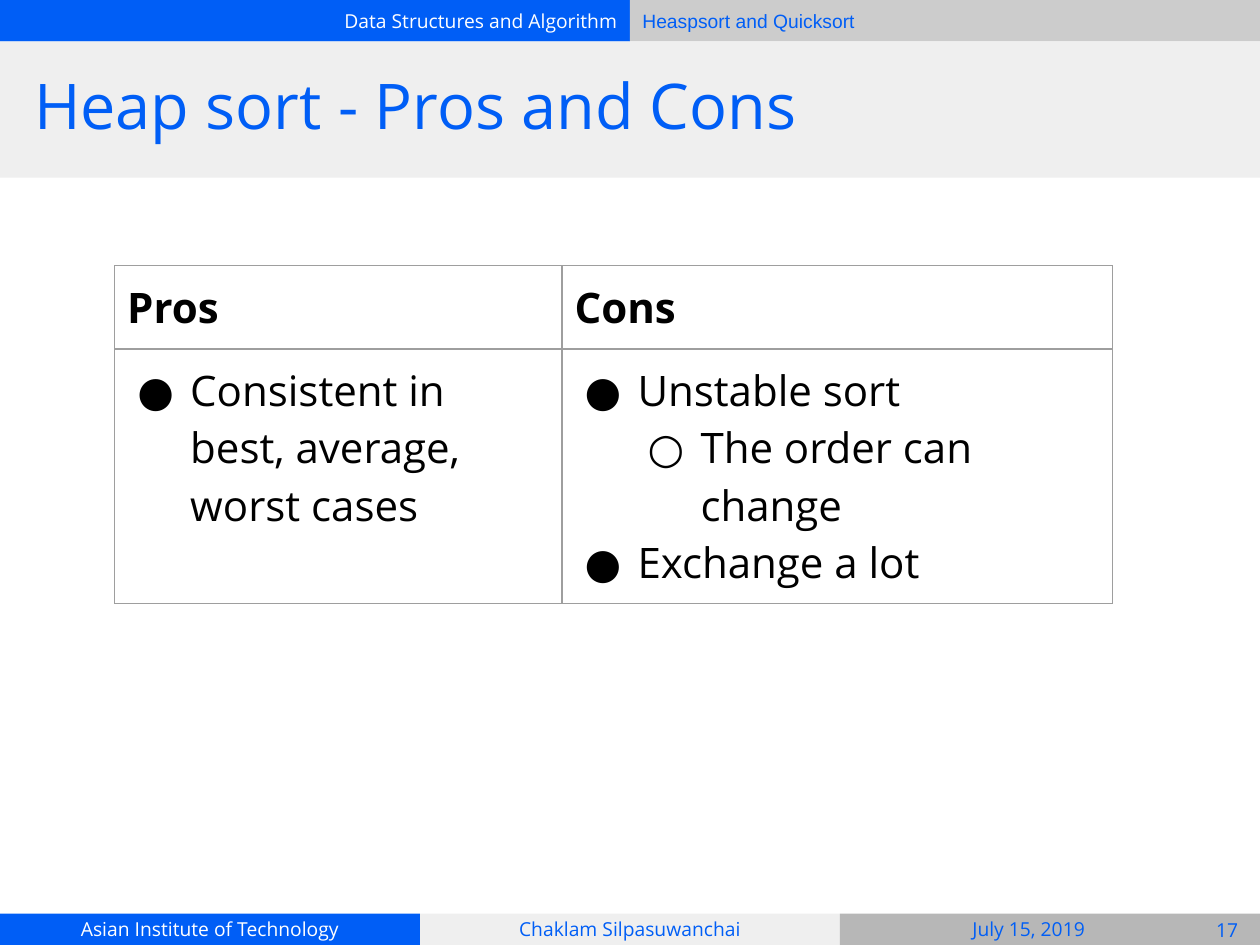
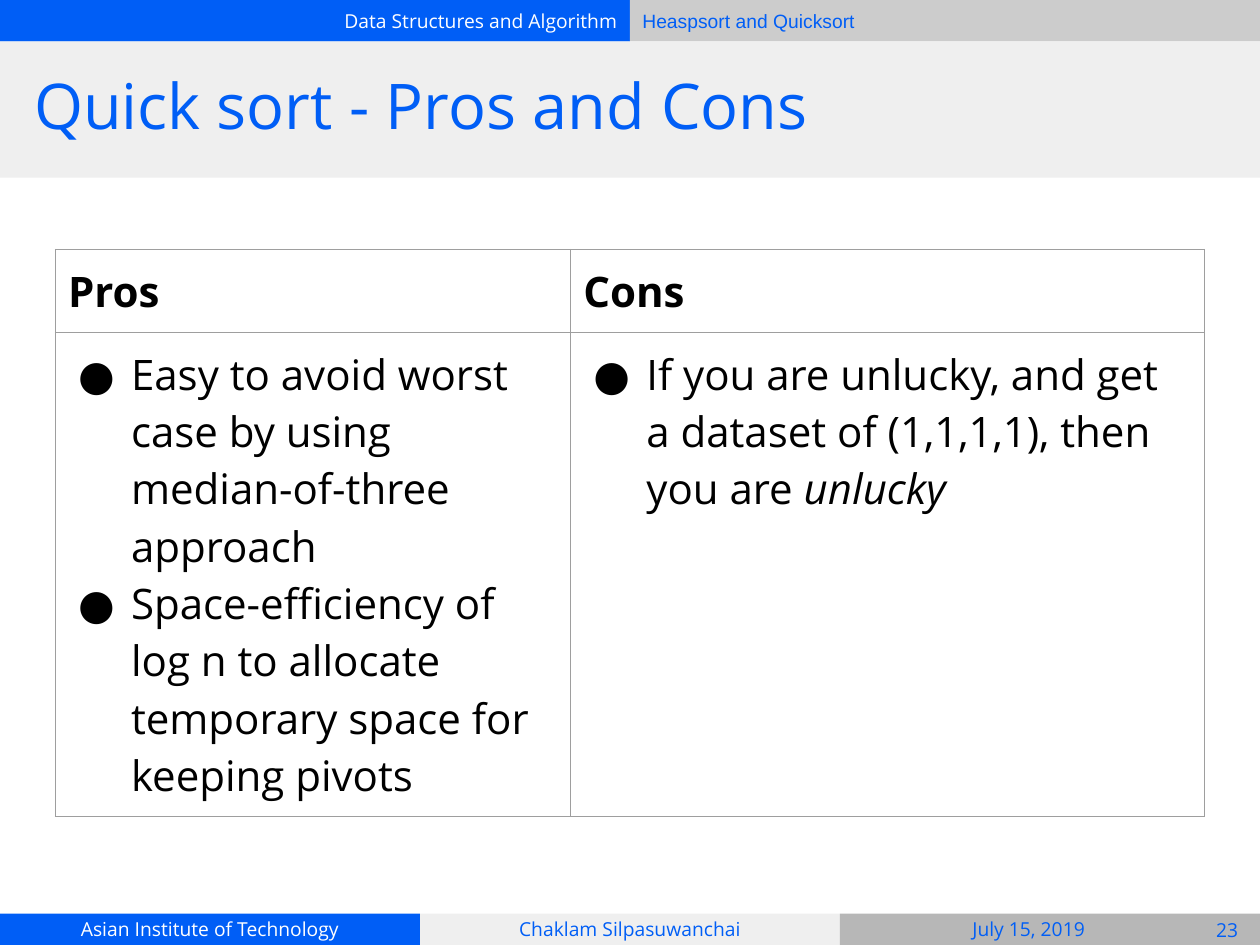
"""Build two slides that weigh the pros and cons of heap sort and quick sort."""
from pptx import Presentation
from pptx.dml.color import RGBColor
from pptx.enum.shapes import MSO_SHAPE
from pptx.enum.text import MSO_ANCHOR, MSO_AUTO_SIZE, PP_ALIGN
from pptx.oxml import parse_xml
from pptx.oxml.ns import nsdecls
from pptx.util import Inches, Pt

WIDTH, HEIGHT = 10, 7.5
HALF, THIRD = WIDTH / 2, WIDTH / 3
TOP_BAND, TITLE_BAND, FOOT_BAND = 0.33, 1.08, 0.25
FOOT_TOP = HEIGHT - FOOT_BAND
FONT = "Open Sans"
COLORS = {"blue": "005EF6", "white": "FFFFFF", "pale": "EFEFEF", "light": "CCCCCC",
          "grey": "B7B7B7", "border": "9E9E9E", "black": "000000"}
LEFT, CENTER, RIGHT = PP_ALIGN.LEFT, PP_ALIGN.CENTER, PP_ALIGN.RIGHT

BANDS = [
    ((0, 0, HALF, TOP_BAND), "blue"),
    ((HALF, 0, HALF, TOP_BAND), "light"),
    ((0, FOOT_TOP, THIRD, FOOT_BAND), "blue"),
    ((THIRD, FOOT_TOP, THIRD, FOOT_BAND), "pale"),
    ((2 * THIRD, FOOT_TOP, THIRD, FOOT_BAND), "grey"),
    ((0, TOP_BAND, WIDTH, TITLE_BAND), "pale"),
]
LABELS = [
    ("Data Structures and Algorithm", (0, 0, HALF, TOP_BAND), RIGHT, FONT, "white"),
    ("Heaspsort and Quicksort", (HALF, 0, HALF, TOP_BAND), LEFT, "Arial", "blue"),
    ("Asian Institute of Technology", (0, FOOT_TOP, THIRD, FOOT_BAND), CENTER, FONT, "white"),
    ("Chaklam Silpasuwanchai", (THIRD, FOOT_TOP, THIRD, FOOT_BAND), CENTER, FONT, "blue"),
    ("July 15, 2019", (6.75, FOOT_TOP, 2.83, FOOT_BAND), CENTER, FONT, "blue"),
]
NUMBER_PLACE = (9.48, 7.26, 0.52, 0.24)

HEADINGS = ("Pros", "Cons")
SLIDES = [
    {"title": "Heap sort - Pros and Cons", "number": "17",
     "corner": (0.91, 2.11), "columns": (3.55, 4.37), "rows": (0.66, 2.02),
     "points": (
         [(0, ["Consistent in best, average, worst cases"])],
         [(0, ["Unstable sort"]), (1, ["The order can change"]), (0, ["Exchange a lot"])])},
    {"title": "Quick sort - Pros and Cons", "number": "23",
     "corner": (0.44, 1.98), "columns": (4.09, 5.03), "rows": (0.66, 3.84),
     "points": (
         [(0, ["Easy to avoid worst case by using median-of-three approach"]),
          (0, ["Space-efficiency of log n to allocate temporary space for keeping pivots"])],
         [(0, ["If you are unlucky, and get a dataset of (1,1,1,1), then you are ",
               "unlucky"])])},
]
BULLETS = "●○"


def inches(values):
    return [Inches(value) for value in values]


def style(span, size, color, font=FONT, bold=False, italic=False):
    span.font.size = Pt(size)
    span.font.name = font
    span.font.bold = bold
    span.font.italic = italic
    span.font.color.rgb = RGBColor.from_string(COLORS[color])


def add_band(page, place, color):
    band = page.shapes.add_shape(MSO_SHAPE.RECTANGLE, *inches(place))
    band.shadow.inherit = False
    band.fill.solid()
    band.fill.fore_color.rgb = RGBColor.from_string(COLORS[color])
    band.line.fill.background()


def add_label(page, text, place, align, font, color):
    box = page.shapes.add_textbox(*inches(place))
    frame = box.text_frame
    frame.word_wrap = True
    frame.vertical_anchor = MSO_ANCHOR.MIDDLE
    frame.margin_left = frame.margin_right = Inches(0.1)
    frame.margin_top = frame.margin_bottom = Inches(0.1)
    frame.text = text
    para = frame.paragraphs[0]
    para.alignment = align
    style(para.runs[0], 11, color, font)


def place_title(page, text):
    title = page.shapes.title
    title.left, title.top, title.width, title.height = inches(
        (0.17, TOP_BAND, WIDTH - 0.33, TITLE_BAND))
    frame = title.text_frame
    frame.auto_size = MSO_AUTO_SIZE.NONE
    frame.vertical_anchor = MSO_ANCHOR.MIDDLE
    frame.text = text
    para = frame.paragraphs[0]
    para.alignment = LEFT
    para.line_spacing = 0.9
    style(para.runs[0], 36, "blue")
    page.shapes.element.append(title.element)


def add_bullet(para, level):
    para.level = level
    properties = para._p.get_or_add_pPr()
    properties.set("marL", str(Inches(0.5 * (level + 1))))
    properties.set("indent", str(Inches(-0.42)))
    for xml in (f'<a:buClr {nsdecls("a")}><a:srgbClr val="{COLORS["black"]}"/></a:buClr>',
                f'<a:buFont {nsdecls("a")} typeface="{FONT}"/>',
                f'<a:buChar {nsdecls("a")} char="{BULLETS[level]}"/>'):
        properties.append(parse_xml(xml))


def format_cell(cell):
    cell.margin_left = cell.margin_right = Inches(0.1)
    cell.margin_top = cell.margin_bottom = Inches(0.1)
    cell.fill.background()
    for index, side in enumerate("LRTB"):
        cell._tc.tcPr.insert(index, parse_xml(
            f'<a:ln{side} {nsdecls("a")} w="{Pt(0.75)}"><a:solidFill>'
            f'<a:srgbClr val="{COLORS["border"]}"/></a:solidFill></a:ln{side}>'))


def fill_points(frame, points):
    for index, (level, parts) in enumerate(points):
        para = frame.add_paragraph() if index else frame.paragraphs[0]
        add_bullet(para, level)
        for position, part in enumerate(parts):
            span = para.add_run()
            span.text = part
            style(span, 24, "black", italic=position > 0)


def add_comparison(page, corner, columns, rows, points):
    size = (sum(columns), sum(rows))
    table = page.shapes.add_table(2, 2, *inches(corner + size)).table
    table.first_row = table.horz_banding = False
    for row, height in zip(table.rows, rows):
        row.height = Inches(height)
    for index, width in enumerate(columns):
        table.columns[index].width = Inches(width)
        heading, body = table.cell(0, index), table.cell(1, index)
        format_cell(heading)
        format_cell(body)
        heading.text_frame.text = HEADINGS[index]
        style(heading.text_frame.paragraphs[0].runs[0], 24, "black", bold=True)
        fill_points(body.text_frame, points[index])


def main():
    deck = Presentation()
    deck.slide_width, deck.slide_height = inches((WIDTH, HEIGHT))
    for content in SLIDES:
        page = deck.slides.add_slide(deck.slide_layouts[5])
        for band in BANDS:
            add_band(page, *band)
        for label in LABELS + [(content["number"], NUMBER_PLACE, CENTER, FONT, "blue")]:
            add_label(page, *label)
        place_title(page, content["title"])
        add_comparison(page, content["corner"], content["columns"],
                       content["rows"], content["points"])
    deck.save("out.pptx")


if __name__ == "__main__":
    main()
